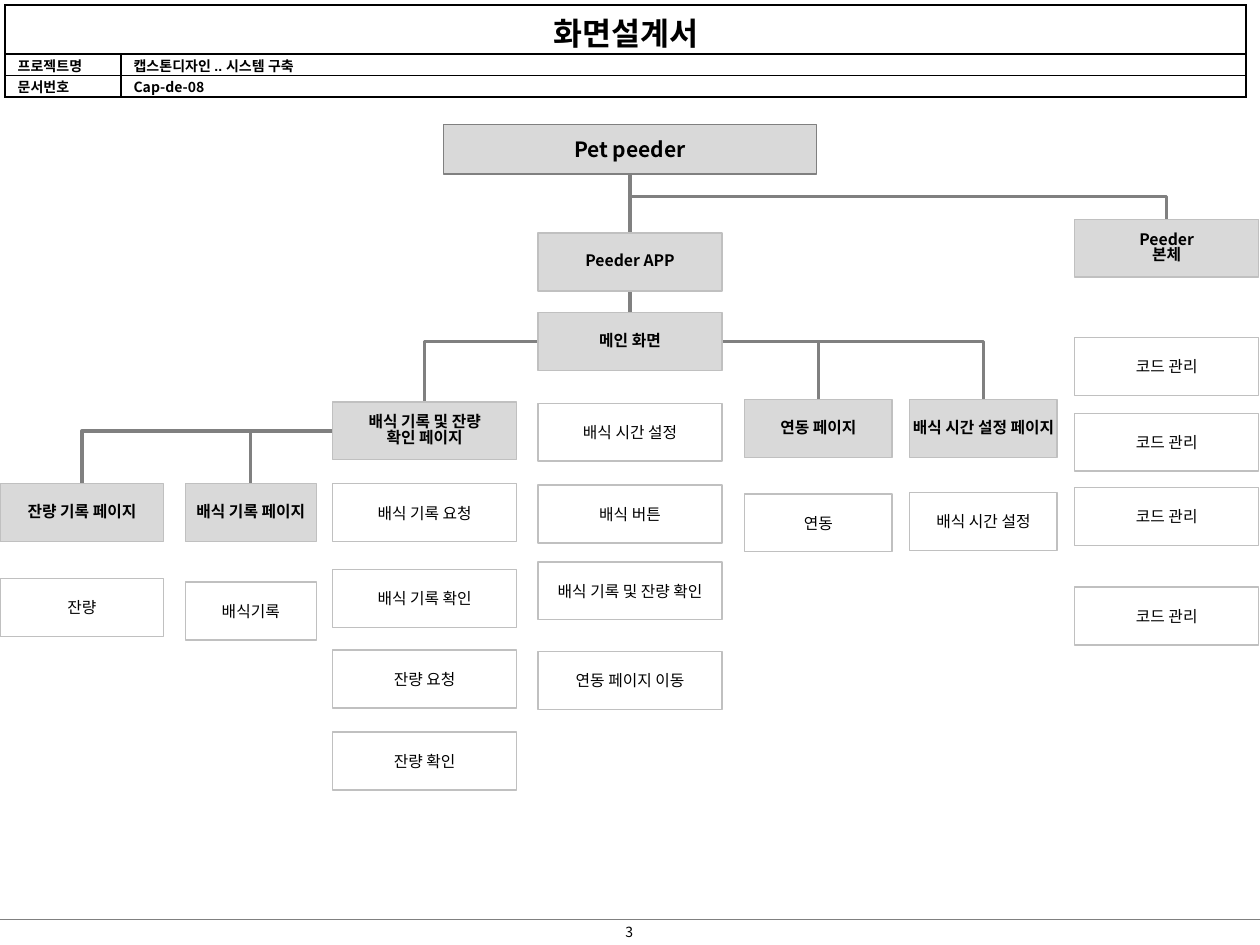
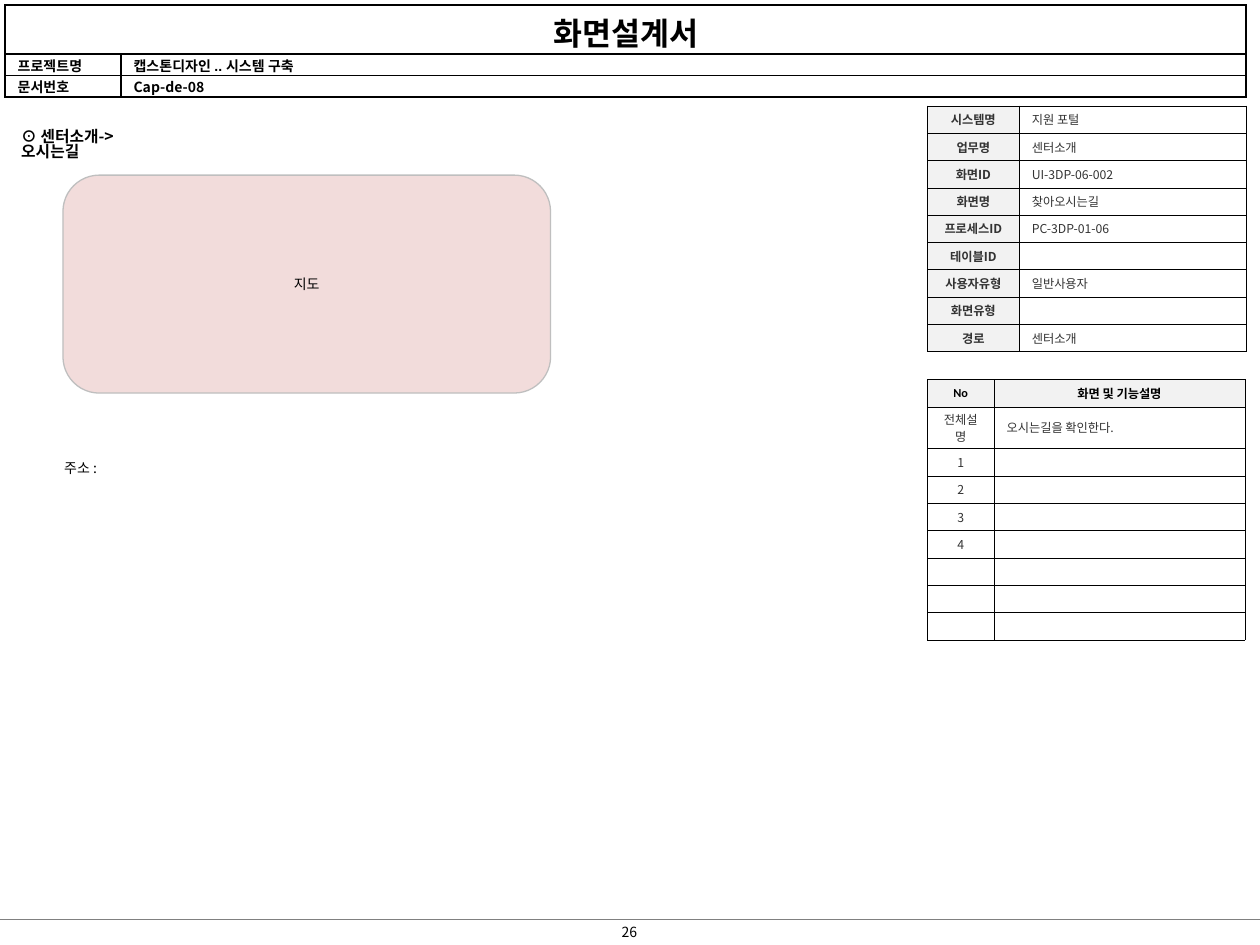
from dataclasses import dataclass

from lxml.etree import SubElement
from pptx import Presentation
from pptx.dml.color import RGBColor
from pptx.enum.shapes import MSO_CONNECTOR, MSO_SHAPE
from pptx.enum.text import MSO_ANCHOR, PP_ALIGN
from pptx.oxml.ns import qn
from pptx.util import Inches, Pt


@dataclass(frozen=True)
class Theme:
    font: str = "Noto Sans CJK KR"
    latin: str = "Arial"
    number_font: str = "Calibri"
    black: str = "000000"
    body: str = "333333"
    white: str = "FFFFFF"
    heading: str = "D9D9D9"
    label: str = "F2F2F2"
    link: str = "808080"
    edge: str = "C0C0C0"
    map_fill: str = "F2DCDB"
    map_edge: str = "BFBFBF"
    title_size: float = 18
    root_size: float = 12
    box_size: float = 9
    small_size: float = 8
    table_size: float = 7


THEME = Theme()

DOCUMENT_TITLE = "화면설계서"
DOCUMENT_FIELDS = [("프로젝트명", "캡스톤디자인 .. 시스템 구축"), ("문서번호", "Cap-de-08")]

BOX_HEIGHT = 0.46
ROOT = ("Pet peeder", (3.52, 0.99, 2.96, 0.39))
# Each column: left, width, headings (text, top), functions (text, top)
SITE_MAP = {
    "remaining": (0, 1.3, [("잔량 기록 페이지", 3.84)], [("잔량", 4.59)]),
    "history": (1.47, 1.04, [("배식 기록 페이지", 3.84)], [("배식기록", 4.62)]),
    "check": (2.64, 1.46, [("배식 기록 및 잔량\n확인 페이지", 3.19)],
              [("배식 기록 요청", 3.84), ("배식 기록 확인", 4.52),
               ("잔량 요청", 5.16), ("잔량 확인", 5.81)]),
    "main": (4.27, 1.46, [("Peeder APP", 1.85), ("메인 화면", 2.48)],
             [("배식 시간 설정", 3.2), ("배식 버튼", 3.85),
              ("배식 기록 및 잔량 확인", 4.46), ("연동 페이지 이동", 5.17)]),
    "pairing": (5.91, 1.17, [("연동 페이지", 3.17)], [("연동", 3.92)]),
    "schedule": (7.22, 1.17, [("배식 시간 설정 페이지", 3.17)], [("배식 시간 설정", 3.91)]),
    "device": (8.53, 1.46, [("Peeder\n본체", 1.74)],
               [("코드 관리", top) for top in (2.68, 3.28, 3.87, 4.66)]),
}
BRANCHES = [("main", "check"), ("main", "pairing"), ("main", "schedule"),
            ("check", "history"), ("check", "remaining")]

SCREEN_INFO = [
    ("시스템명", "지원 포털"), ("업무명", "센터소개"), ("화면ID", "UI-3DP-06-002"),
    ("화면명", "찾아오시는길"), ("프로세스ID", "PC-3DP-01-06"), ("테이블ID", ""),
    ("사용자유형", "일반사용자"), ("화면유형", ""), ("경로", "센터소개"),
]
FUNCTION_NOTES = [
    ("No", "화면 및 기능설명"), ("전체설명", "오시는길을 확인한다."),
    ("1", ""), ("2", ""), ("3", ""), ("4", ""), ("", ""), ("", ""), ("", ""),
]


def rgb(value):
    return RGBColor.from_string(value)


def inches(*lengths):
    return [Inches(length) for length in lengths]


def write(frame, text, size, bold=False, color=THEME.black, font=THEME.font,
          align=PP_ALIGN.LEFT, spacing=None):
    frame.text = text
    for paragraph in frame.paragraphs:
        paragraph.alignment = align
        if spacing:
            paragraph.line_spacing = spacing
        for run in paragraph.runs:
            run.font.size, run.font.bold, run.font.name = Pt(size), bold, font
            run.font.color.rgb = rgb(color)
            SubElement(run.font._element, qn("a:ea"), typeface=THEME.font)
        if not paragraph.runs:
            SubElement(paragraph._p, qn("a:endParaRPr"), sz=str(int(size * 100)))


def add_box(slide, place, text, size=THEME.box_size, fill=THEME.white, edge=THEME.edge,
            kind=MSO_SHAPE.RECTANGLE, align=PP_ALIGN.CENTER, **style):
    box = slide.shapes.add_shape(kind, *inches(*place))
    box.shadow.inherit = False
    box.fill.solid()
    box.fill.fore_color.rgb = rgb(fill)
    if edge:
        box.line.color.rgb = rgb(edge)
        box.line.width = Pt(0.75)
    else:
        box.line.fill.background()
    frame = box.text_frame
    frame.word_wrap = False
    frame.vertical_anchor = MSO_ANCHOR.MIDDLE
    write(frame, text, size, align=align, **style)
    return box


def add_label(slide, place, text, size, **style):
    label = slide.shapes.add_textbox(*inches(*place))
    label.text_frame.word_wrap = True
    write(label.text_frame, text, size, **style)
    return label


def add_link(slide, start, end, width=2, geometry="line"):
    link = slide.shapes.add_connector(MSO_CONNECTOR.STRAIGHT, *inches(*start, *end))
    link.line.color.rgb = rgb(THEME.link)
    link.line.width = Pt(width)
    properties = link._element.spPr
    properties.find(qn("a:prstGeom")).set("prst", geometry)
    SubElement(properties, qn("a:effectLst"))
    return link


def add_drop_link(slide, start, end):
    """Link that leaves downwards, crosses halfway and goes on down."""
    (x1, y1), (x2, y2) = start, end
    middle_x, middle_y = (x1 + x2) / 2, (y1 + y2) / 2
    half_run, half_drop = (x2 - x1) / 2, (y2 - y1) / 2
    link = add_link(slide, (middle_x + half_drop, middle_y - half_run),
                    (middle_x - half_drop, middle_y + half_run), geometry="bentConnector3")
    link._element.spPr.find(qn("a:xfrm")).set("rot", str(270 * 60000))


def add_border(cell, width):
    properties = cell._tc.get_or_add_tcPr()
    for index, side in enumerate(("lnL", "lnR", "lnT", "lnB")):
        line = SubElement(properties, qn(f"a:{side}"), w=str(Pt(width)))
        fill = SubElement(line, qn("a:solidFill"))
        SubElement(fill, qn("a:srgbClr"), val=THEME.black)
        properties.insert(index, line)


def add_grid(slide, left, top, widths, heights, border):
    frame = slide.shapes.add_table(len(heights), len(widths),
                                   *inches(left, top, sum(widths), sum(heights)))
    table = frame.table
    table.first_row = table.horz_banding = False
    for column, width in zip(table.columns, widths):
        column.width = Inches(width)
    for row, height in zip(table.rows, heights):
        row.height = Inches(height)
    for cell in table.iter_cells():
        add_border(cell, border)
    return table


def fill_cell(cell, text, size, fill=None, anchor=MSO_ANCHOR.MIDDLE, margin=0.02, **style):
    cell.margin_top = cell.margin_bottom = Inches(margin)
    cell.vertical_anchor = anchor
    if fill:
        cell.fill.solid()
        cell.fill.fore_color.rgb = rgb(fill)
    else:
        cell.fill.background()
    write(cell.text_frame, text, size, **style)


def add_page(deck, number):
    """Blank slide with the document header and the numbered footer."""
    slide = deck.slides.add_slide(deck.slide_layouts[6])
    add_link(slide, (0, 7.3), (10, 7.3), width=0.75)
    add_label(slide, (4.72, 7.28, 0.55, 0.24), str(number), THEME.small_size,
              align=PP_ALIGN.CENTER)
    header = add_grid(slide, 0.04, 0.04, (0.92, 8.93), (0.39, 0.17, 0.17), border=1)
    header.cell(0, 0).merge(header.cell(0, 1))
    rows = [(DOCUMENT_TITLE, ""), *DOCUMENT_FIELDS]
    for r, row in enumerate(rows):
        for c, text in enumerate(row):
            is_title = r == c == 0
            fill_cell(header.cell(r, c), text,
                      THEME.title_size if is_title else THEME.small_size,
                      fill=THEME.white, anchor=MSO_ANCHOR.BOTTOM, margin=0, bold=True,
                      font=THEME.font if is_title or text.isascii() else THEME.latin,
                      align=PP_ALIGN.CENTER if is_title else PP_ALIGN.LEFT)
    return slide


def add_site_map(deck):
    slide = add_page(deck, 3)

    def heading_point(name, index, side):
        left, width, headings, _ = SITE_MAP[name]
        top = headings[index][1]
        return {"top": (left + width / 2, top),
                "bottom": (left + width / 2, top + BOX_HEIGHT),
                "left": (left, top + BOX_HEIGHT / 2),
                "right": (left + width, top + BOX_HEIGHT / 2)}[side]

    root_text, root_place = ROOT
    left, top, width, height = root_place
    root_bottom = (left + width / 2, top + height)
    add_link(slide, root_bottom, heading_point("main", 0, "top"))
    add_drop_link(slide, root_bottom, heading_point("device", 0, "top"))
    add_link(slide, heading_point("main", 0, "bottom"), heading_point("main", 1, "top"))
    for parent, child in BRANCHES:
        side = "right" if SITE_MAP[child][0] > SITE_MAP[parent][0] else "left"
        add_link(slide, heading_point(parent, -1, side), heading_point(child, 0, "top"),
                 geometry="bentConnector2")

    add_box(slide, root_place, root_text, THEME.root_size, THEME.heading, THEME.link, bold=True)
    for left, width, headings, functions in SITE_MAP.values():
        for text, top in headings:
            add_box(slide, (left, top, width, BOX_HEIGHT), text,
                    fill=THEME.heading, bold=True, spacing=0.83)
        for text, top in functions:
            add_box(slide, (left, top, width, BOX_HEIGHT), text)


def add_directions_screen(deck):
    slide = add_page(deck, 26)
    breadcrumb = add_label(slide, (0.07, 0.98, 1.42, 0.25), "⊙ 센터소개->오시는길",
                           THEME.box_size, bold=True, spacing=0.83)
    breadcrumb.text_frame.margin_right = Inches(0.47)

    notes = add_grid(slide, 7.36, 3.01, (0.53, 1.99), [0.22, 0.33] + [0.217] * 7, border=0.25)
    for r, row in enumerate(FUNCTION_NOTES):
        for c, text in enumerate(row):
            head = r == 0
            head_font = THEME.latin if c else THEME.number_font
            fill_cell(notes.cell(r, c), text, THEME.table_size,
                      fill=THEME.label if head else None, bold=head,
                      color=THEME.black if head else THEME.body,
                      font=head_font if head else THEME.font,
                      align=PP_ALIGN.CENTER if head or c == 0 else PP_ALIGN.LEFT)

    info = add_grid(slide, 7.36, 0.84, (0.73, 1.8), [1.95 / 9] * 9, border=0.25)
    for r, row in enumerate(SCREEN_INFO):
        for c, text in enumerate(row):
            is_label = c == 0
            fill_cell(info.cell(r, c), text, THEME.table_size,
                      fill=THEME.label if is_label else None, bold=is_label, color=THEME.body,
                      align=PP_ALIGN.CENTER if is_label else PP_ALIGN.LEFT)

    add_box(slide, (0.5, 1.39, 3.87, 1.73), "지도", THEME.small_size, THEME.map_fill,
            THEME.map_edge, MSO_SHAPE.FLOWCHART_ALTERNATE_PROCESS, font=THEME.latin)
    address = add_box(slide, (0.43, 3.59, 1.27, 0.25), "주소 :", THEME.small_size,
                      edge=None, align=PP_ALIGN.LEFT)
    address.text_frame.word_wrap = True
    address.text_frame.margin_left = Inches(0.08)


def main():
    deck = Presentation()
    deck.slide_width, deck.slide_height = inches(10, 7.5)
    add_site_map(deck)
    add_directions_screen(deck)
    deck.save("out.pptx")


if __name__ == "__main__":
    main()
